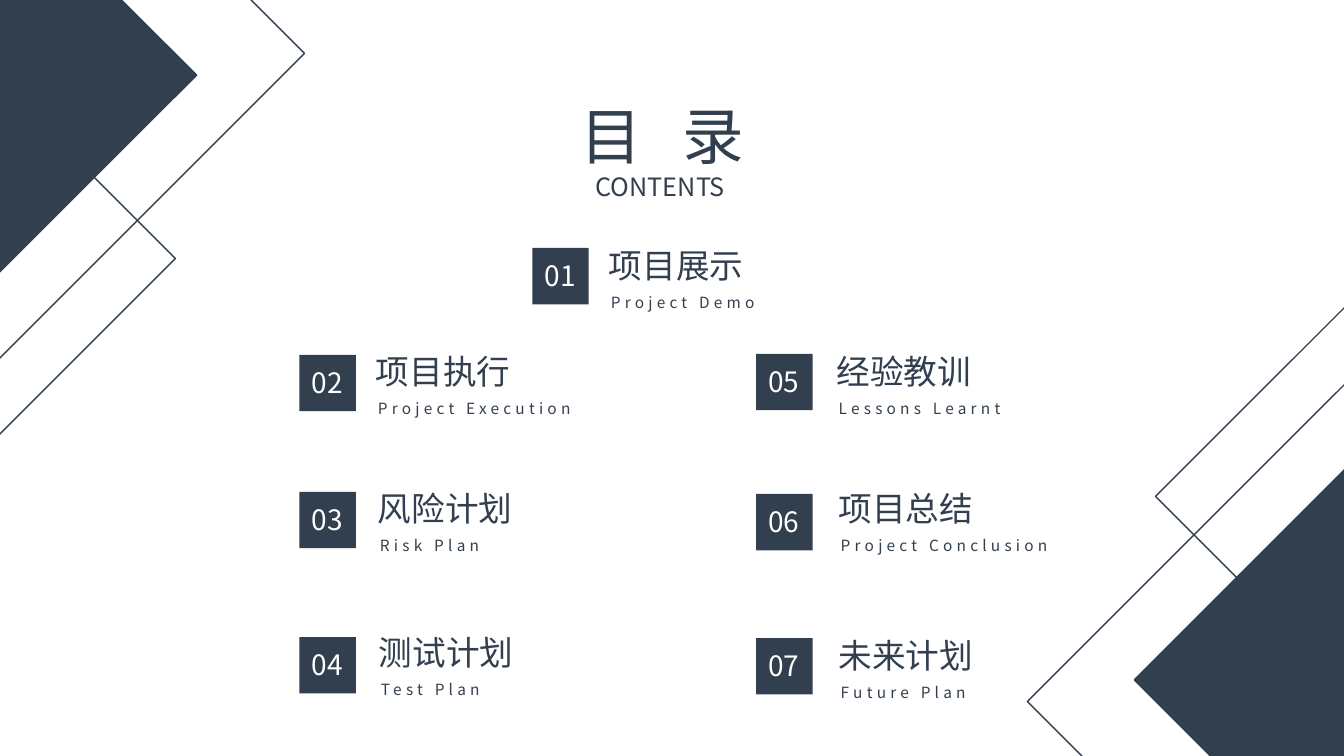
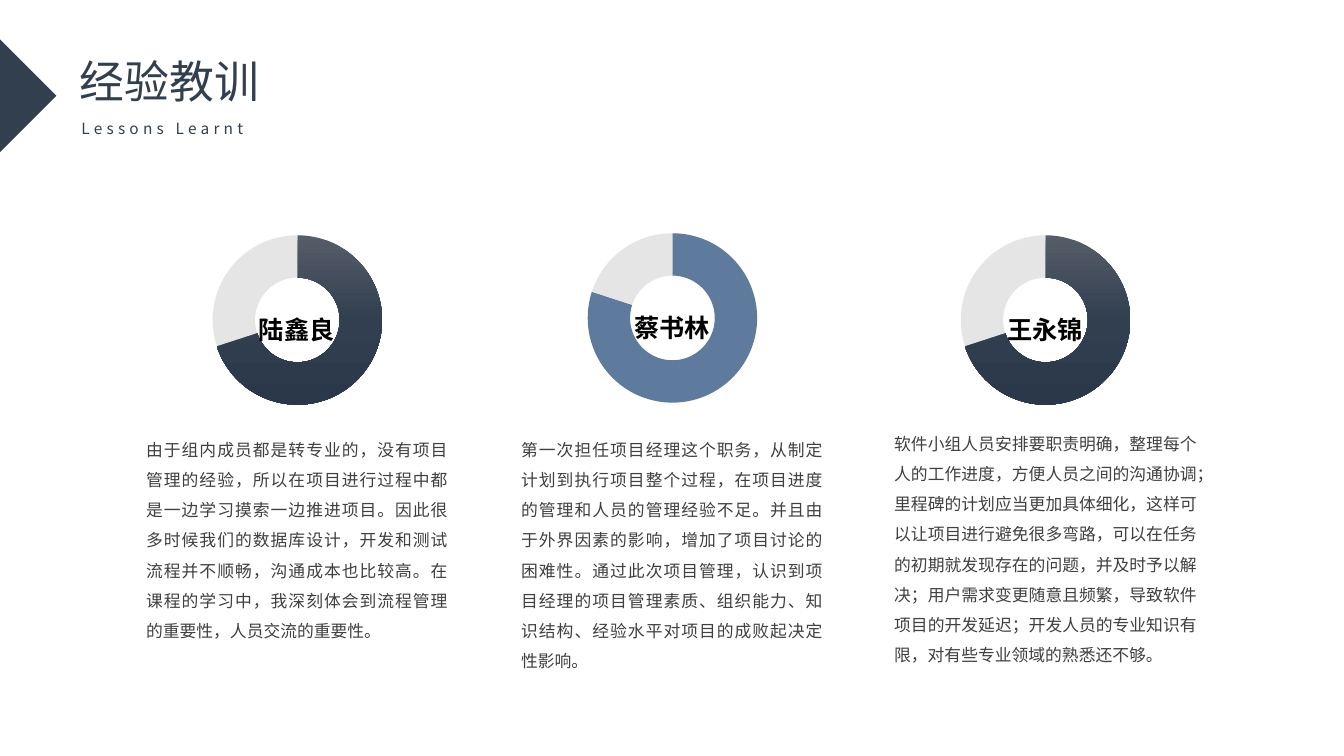
from copy import deepcopy

from pptx import Presentation
from pptx.chart.data import CategoryChartData
from pptx.dml.color import RGBColor
from pptx.enum.chart import XL_CHART_TYPE as ChartType
from pptx.enum.shapes import MSO_SHAPE as Shape
from pptx.enum.text import MSO_ANCHOR as Anchor, MSO_AUTO_SIZE as AutoSize, PP_ALIGN as Align
from pptx.oxml import parse_xml
from pptx.oxml.ns import nsdecls, qn
from pptx.util import Inches, Pt

NAVY, BLUE, PALE = "323F4F", "5E7A9C", "E5E5E5"
WHITE, BLACK, GREY = "FFFFFF", "000000", "404040"
NAVY_FADE = ["565D68", "313F50", "2A3849"]
FONT = "Noto Sans CJK SC"

# Text styles: size, then whatever differs from plain navy text
HEADING = {"size": 32}
ITEM = {"size": 24}
SUBTITLE = {"size": 11, "spacing": 3, "lines": 1.5}
BODY = {"size": 12, "color": GREY, "lines": 1.5, "align": Align.JUSTIFY}
NAME = {"size": 18, "color": BLACK, "bold": True, "lines": 1.5, "wrap": False}
NUMBER = {"size": 20, "color": WHITE, "align": Align.CENTER}


def rgb(value):
    return RGBColor.from_string(value)


class Builder:
    """Holds the deck, the shared style and the current slide."""

    def __init__(self):
        self.deck = Presentation()
        self.deck.slide_width, self.deck.slide_height = Inches(13.33), Inches(7.5)
        self.slide = None

    def new_slide(self, title, place, style):
        self.slide = self.deck.slides.add_slide(self.deck.slide_layouts[5])
        box = self.slide.shapes.title
        for side, value in zip(("left", "top", "width", "height"), place):
            setattr(box, side, Inches(value))
        self.fill_text(box, title, style)

    def fill_text(self, box, words, style):
        frame = box.text_frame
        frame.word_wrap = style.get("wrap", True)
        frame.vertical_anchor = Anchor.TOP
        frame.auto_size = AutoSize.SHAPE_TO_FIT_TEXT
        para = frame.paragraphs[0]
        para.alignment = style.get("align", Align.LEFT)
        para.line_spacing = style.get("lines", 1.0)
        span = para.add_run()
        span.text = words
        values = {"size": Pt(style["size"]), "bold": style.get("bold", False), "name": FONT}
        for key, value in values.items():
            setattr(span.font, key, value)
        span.font.color.rgb = rgb(style.get("color", NAVY))
        props = span.font._element
        if "spacing" in style:
            props.set("spc", str(round(style["spacing"] * 100)))
        props.find(qn("a:latin")).addnext(
            parse_xml(f'<a:ea {nsdecls("a")} typeface="{FONT}"/>'))

    def text(self, words, place, style):
        box = self.slide.shapes.add_textbox(*map(Inches, place))
        self.fill_text(box, words, style)

    def shape(self, kind, place, fill=NAVY, outline=None, rotation=0):
        shape = self.slide.shapes.add_shape(kind, *map(Inches, place))
        shape.shadow.inherit = False
        shape.rotation = rotation
        if fill:
            shape.fill.solid()
            shape.fill.fore_color.rgb = rgb(fill)
        else:
            shape.fill.background()
        if outline:
            shape.line.color.rgb = rgb(outline)
            shape.line.width = Pt(1)
        else:
            shape.line.fill.background()
        return shape

    def number_square(self, number, left, top):
        square = self.shape(Shape.RECTANGLE, (left, top, 0.56, 0.56))
        frame = square.text_frame
        self.fill_text(square, number, NUMBER)
        frame.auto_size = AutoSize.NONE
        frame.vertical_anchor = Anchor.MIDDLE
        margins = {"left": 0, "top": 0, "right": 0.01, "bottom": 0.01}
        for side, value in margins.items():
            setattr(frame, f"margin_{side}", Inches(value))

    def doughnut(self, share, place, colors):
        data = CategoryChartData()
        data.categories = ["1", "2"]
        data.add_series("Series 1", (share, 100 - share))
        chart = self.slide.shapes.add_chart(
            ChartType.DOUGHNUT, *map(Inches, place), data).chart
        chart.has_legend = chart.has_title = False
        for key, value in {"size": Pt(10), "name": FONT}.items():
            setattr(chart.font, key, value)
        chart.font.color.rgb = rgb(BLACK)
        plot = chart.plots[0]
        plot.vary_by_categories = False
        main, rest = (plot.series[0].points[index].format for index in (0, 1))
        for part in (main, rest):
            part.line.fill.background()
        rest.fill.solid()
        rest.fill.fore_color.rgb = rgb(PALE)
        if len(colors) == 1:
            main.fill.solid()
            main.fill.fore_color.rgb = rgb(colors[0])
        else:
            self.fade(chart, main.fill, colors)
        # Hole size and a centred ring
        chart.element.xpath(".//c:holeSize")[0].set("val", "75")
        ring = 1.68
        wide, high = ring / place[2], ring / place[3]
        sizes = {"x": (1 - wide) / 2, "y": (1 - high) / 2, "w": wide, "h": high}
        marks = "".join(f'<c:{key} val="{value:.3f}"/>' for key, value in sizes.items())
        area = chart.element.xpath(".//c:plotArea")[0]
        for old in area.findall(qn("c:layout")):
            area.remove(old)
        area.insert(0, parse_xml(
            f'<c:layout {nsdecls("c")}><c:manualLayout><c:layoutTarget val="inner"/>'
            f'<c:xMode val="edge"/><c:yMode val="edge"/>{marks}</c:manualLayout></c:layout>'))

    def fade(self, chart, fill, colors):
        fill.gradient()
        fill.gradient_angle = 270
        stops = chart.element.xpath(".//a:gsLst")[0]
        stops.insert(1, deepcopy(stops[0]))
        for index, (stop, color) in enumerate(zip(fill.gradient_stops, colors)):
            stop.position = index / (len(colors) - 1)
            stop.color.rgb = rgb(color)


def contents_slide(build):
    build.new_slide("目 录", (5.43, 0.74, 2.28, 0.94),
                    {"size": 44, "spacing": 9.4, "lines": 1.25, "align": Align.CENTER})
    build.text("CONTENTS", (5.81, 1.65, 1.69, 0.4), {"size": 18, "align": Align.JUSTIFY})

    # Corner triangles: left, top, size, filled
    corners = {
        45: [(11.96, 5.03, 3.43, True), (12.2, 3.14, 3.57, False), (11.13, 4.69, 4.54, False)],
        225: [(-2.19, -0.97, 3.43, True), (-2.57, 0.78, 3.57, False), (-2.46, -1.74, 4.54, False)],
    }
    for rotation, triangles in corners.items():
        for left, top, size, filled in triangles:
            build.shape(Shape.RIGHT_TRIANGLE, (left, top, size, size),
                        NAVY if filled else None, NAVY, rotation)

    # Numbered entries: name, English, square left and top, label left and top
    entries = [
        ("项目展示", "Project Demo", 5.28, 2.46, 5.94, 2.38),
        ("项目执行", "Project Execution", 2.97, 3.52, 3.63, 3.43),
        ("风险计划", "Risk Plan", 2.97, 4.88, 3.65, 4.79),
        ("测试计划", "Test Plan", 2.97, 6.32, 3.66, 6.22),
        ("经验教训", "Lessons Learnt", 7.5, 3.51, 8.2, 3.43),
        ("项目总结", "Project Conclusion", 7.5, 4.9, 8.22, 4.79),
        ("未来计划", "Future Plan", 7.5, 6.33, 8.22, 6.25),
    ]
    for number, (name, english, left, top, label_left, label_top) in enumerate(entries, 1):
        build.number_square(f"{number:02}", left, top)
        build.text(name, (label_left, label_top, 1.81, 0.5), ITEM)
        build.text(english, (label_left + 0.02, label_top + 0.39, 2.31, 0.34), SUBTITLE)


def lessons_slide(build):
    build.new_slide("经验教训", (0.69, 0.48, 2.08, 0.64), HEADING)
    build.text("Lessons Learnt", (0.71, 1.04, 2.08, 0.34), SUBTITLE)
    build.shape(Shape.DIAMOND, (-0.56, 0.39, 1.12, 1.12))

    # One column per member: name, share, colours, centre, chart top, text top and width, text
    members = [
        ("陆鑫良", 70, NAVY_FADE, 2.95, 2.2, 4.21, 3.19,
         "由于组内成员都是转专业的，没有项目管理的经验，所以在项目进行过程中都是一边学习摸索一边推进项目。"
         "因此很多时候我们的数据库设计，开发和测试流程并不顺畅，沟通成本也比较高。"
         "在课程的学习中，我深刻体会到流程管理的重要性，人员交流的重要性。"),
        ("蔡书林", 80, [BLUE], 6.67, 2.18, 4.21, 3.19,
         "第一次担任项目经理这个职务，从制定计划到执行项目整个过程，在项目进度的管理和人员的管理经验不足。"
         "并且由于外界因素的影响，增加了项目讨论的困难性。"
         "通过此次项目管理，认识到项目经理的项目管理素质、组织能力、知识结构、经验水平对项目的成败起决定性影响。"),
        ("王永锦", 70, NAVY_FADE, 10.37, 2.2, 4.15, 3.2,
         "软件小组人员安排要职责明确，整理每个人的工作进度，方便人员之间的沟通协调；"
         "里程碑的计划应当更加具体细化，这样可以让项目进行避免很多弯路，可以在任务的初期就发现存在的问题，并及时予以解决；"
         "用户需求变更随意且频繁，导致软件项目的开发延迟；开发人员的专业知识有限，对有些专业领域的熟悉还不够。"),
    ]
    for name, share, colors, center, chart_top, text_top, width, words in members:
        build.doughnut(share, (center - 1.36, chart_top, 2.72, 1.95), colors)
        build.text(name, (center - 0.48, chart_top + 0.72, 0.96, 0.5), NAME)
        build.text(words, (center - 1.6, text_top, width, 2.49), BODY)


def main():
    build = Builder()
    contents_slide(build)
    lessons_slide(build)
    build.deck.save("out.pptx")


if __name__ == "__main__":
    main()
